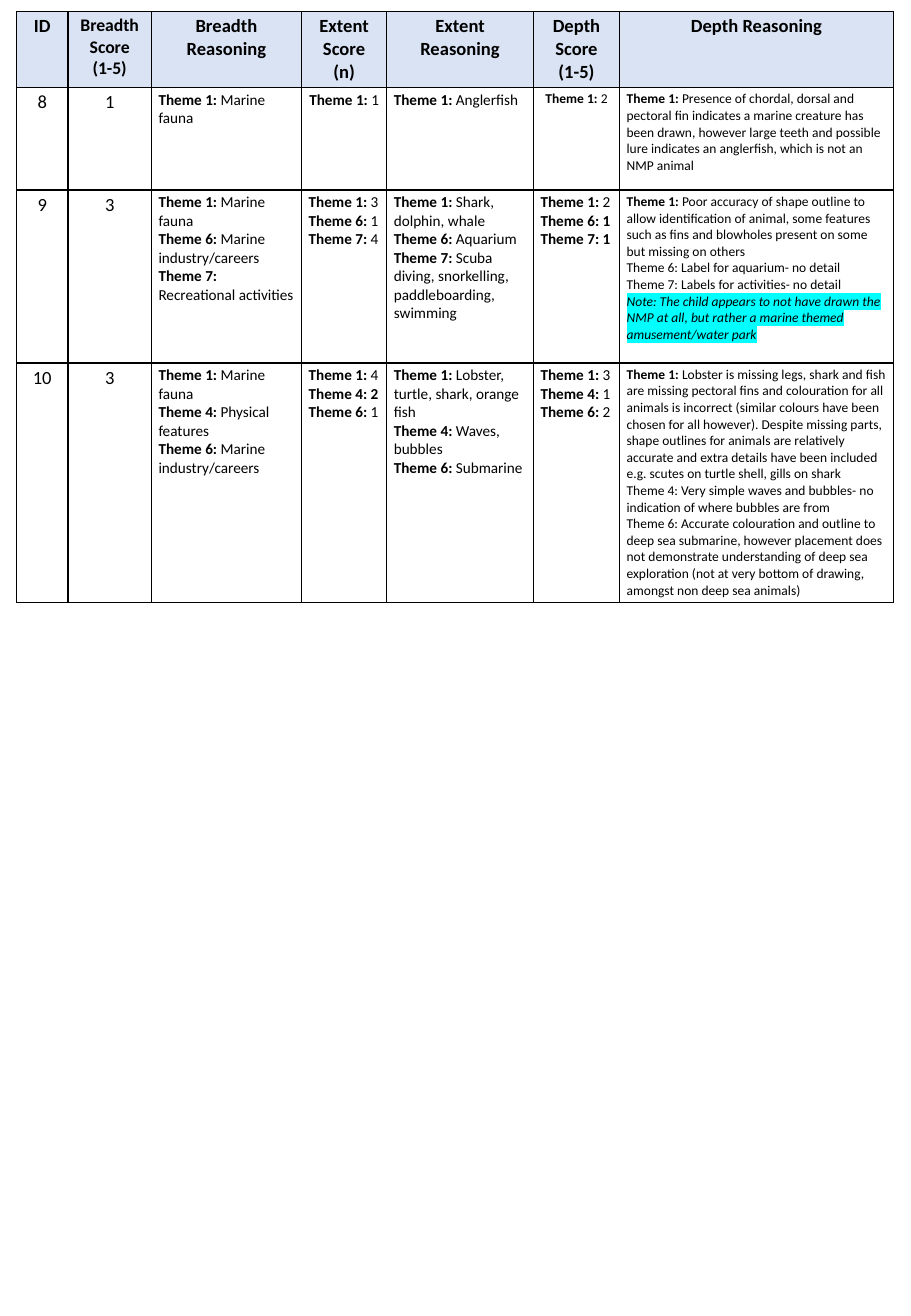
from dataclasses import dataclass
from lxml import etree
from pptx import Presentation
from pptx.dml.color import RGBColor
from pptx.enum.text import PP_ALIGN
from pptx.oxml.ns import qn
from pptx.util import Pt

LEFT, CENTER = PP_ALIGN.LEFT, PP_ALIGN.CENTER


@dataclass
class Theme:
    font: str = "Calibri"
    ink: str = "000000"
    header_fill: str = "DAE3F3"
    body_fill: str = "FFFFFF"
    note_highlight: str = "00FFFF"
    header_size: float = 11
    narrow_header_size: float = 10.5
    id_size: float = 11
    theme_size: float = 9
    depth_size: float = 8


theme = Theme()

BOLD_MARK, NOTE_MARK = "*", "Note:"
ID_COLUMN, BREADTH_SCORE, EXTENT_SCORE, DEPTH_SCORE, DEPTH_REASONING = 0, 1, 3, 5, 6
column_widths = [30.5, 49.5, 89, 50.5, 87, 51, 162.5]
row_heights = [44.6, 60.8, 102.5, 142]

assessments = [
    [
        "*ID*",
        "*Breadth Score*\n*(1-5)*",
        "*Breadth Reasoning*",
        "*Extent Score*\n*(n)*",
        "*Extent Reasoning*",
        "*Depth Score*\n*(1-5)*",
        "*Depth Reasoning*",
    ],
    [
        "8",
        "1",
        "*Theme 1: *Marine fauna",
        "*Theme 1:* 1",
        "*Theme 1:* Anglerfish",
        "*Theme 1: *2",
        "*Theme 1: *Presence of chordal, dorsal and pectoral fin indicates a marine creature "
        "has been drawn, however large teeth and possible lure indicates an anglerfish, which "
        "is not an NMP animal",
    ],
    [
        "9",
        "3",
        "*Theme 1: *Marine fauna\n"
        "*Theme 6: *Marine industry/careers *Theme 7: *Recreational activities",
        "*Theme 1: *3\n*Theme 6: *1\n*Theme 7: *4",
        "*Theme 1: *Shark, dolphin, whale\n*Theme 6: *Aquarium\n"
        "*Theme 7: *Scuba diving, snorkelling, paddleboarding, swimming",
        "*Theme 1: *2\n*Theme 6: 1*\n*Theme 7: 1*",
        "*Theme 1: *Poor accuracy of shape outline to allow identification of animal, some "
        "features such as fins and blowholes present on some but missing on others\n"
        "Theme 6: Label for aquarium- no detail\n"
        "Theme 7: Labels for activities- no detail\n"
        "Note: The child appears to not have drawn the NMP at all, but rather a marine themed "
        "amusement/water park",
    ],
    [
        "10",
        "3",
        "*Theme 1: *Marine fauna\n*Theme 4: *Physical features\n"
        "*Theme 6: *Marine industry/careers",
        "*Theme 1: *4\n*Theme 4: 2*\n*Theme 6: *1",
        "*Theme 1: *Lobster, turtle, shark, orange fish\n*Theme 4: *Waves, bubbles\n"
        "*Theme 6: *Submarine",
        "*Theme 1: *3\n*Theme 4: *1\n*Theme 6: *2",
        "*Theme 1: *Lobster is missing legs, shark and fish are missing pectoral fins and "
        "colouration for all animals is incorrect (similar colours have been chosen for all "
        "however). Despite missing parts, shape outlines for animals are relatively accurate "
        "and extra details have been included e.g. scutes on turtle shell, gills on shark\n"
        "Theme 4: Very simple waves and bubbles- no indication of where bubbles are from\n"
        "Theme 6: Accurate colouration and outline to deep sea submarine, however placement "
        "does not demonstrate understanding of deep sea exploration (not at very bottom of "
        "drawing, amongst non deep sea animals)",
    ],
]


def frame_cell(cell, fill):
    properties = cell._tc.get_or_add_tcPr()
    for side in ("lnL", "lnR", "lnT", "lnB"):
        border = etree.SubElement(properties, qn(f"a:{side}"), w=str(Pt(1)))
        solid = etree.SubElement(border, qn("a:solidFill"))
        etree.SubElement(solid, qn("a:srgbClr"), val=theme.ink)
    cell.fill.solid()
    cell.fill.fore_color.rgb = RGBColor.from_string(fill)
    cell.margin_left = cell.margin_right = Pt(4.2)
    cell.margin_top = cell.margin_bottom = Pt(2.1)


def write_paragraph(paragraph, line, size, alignment):
    paragraph.alignment = alignment
    for index, part in enumerate(line.split(BOLD_MARK)):
        if not part:
            continue
        run = paragraph.add_run()
        run.text = part
        run.font.name = theme.font
        run.font.size = Pt(size)
        run.font.bold = index % 2 == 1
        run.font.color.rgb = RGBColor.from_string(theme.ink)
        if part.startswith(NOTE_MARK):
            run.font.italic = True
            highlight = etree.Element(qn("a:highlight"))
            etree.SubElement(highlight, qn("a:srgbClr"), val=theme.note_highlight)
            run.font._element.find(qn("a:latin")).addprevious(highlight)


presentation = Presentation()
presentation.slide_width, presentation.slide_height = Pt(540), Pt(779.76)
slide = presentation.slides.add_slide(presentation.slide_layouts[6])

scores = slide.shapes.add_table(
    len(row_heights), len(column_widths),
    Pt(9.8), Pt(6.8), Pt(sum(column_widths)), Pt(sum(row_heights)),
).table
scores.first_row = False
scores.horz_banding = False
for column, width in zip(scores.columns, column_widths):
    column.width = Pt(width)
for row, height in zip(scores.rows, row_heights):
    row.height = Pt(height)

body_sizes = [theme.id_size] * 2 + [theme.theme_size] * 4 + [theme.depth_size]

for row_index, assessment in enumerate(assessments):
    is_header = row_index == 0
    is_single_theme = row_index == 1
    for column_index, text in enumerate(assessment):
        cell = scores.cell(row_index, column_index)
        frame_cell(cell, theme.header_fill if is_header else theme.body_fill)

        size = body_sizes[column_index]
        if is_header:
            size = theme.narrow_header_size if column_index == BREADTH_SCORE else theme.header_size
        elif is_single_theme and column_index == DEPTH_SCORE:
            size = theme.depth_size

        is_centered = (
            is_header
            or column_index in (ID_COLUMN, BREADTH_SCORE)
            or (is_single_theme and column_index in (EXTENT_SCORE, DEPTH_SCORE))
        )
        for line_index, line in enumerate(text.split("\n")):
            frame = cell.text_frame
            paragraph = frame.add_paragraph() if line_index else frame.paragraphs[0]
            write_paragraph(paragraph, line, size, CENTER if is_centered else LEFT)

presentation.save("out.pptx")
